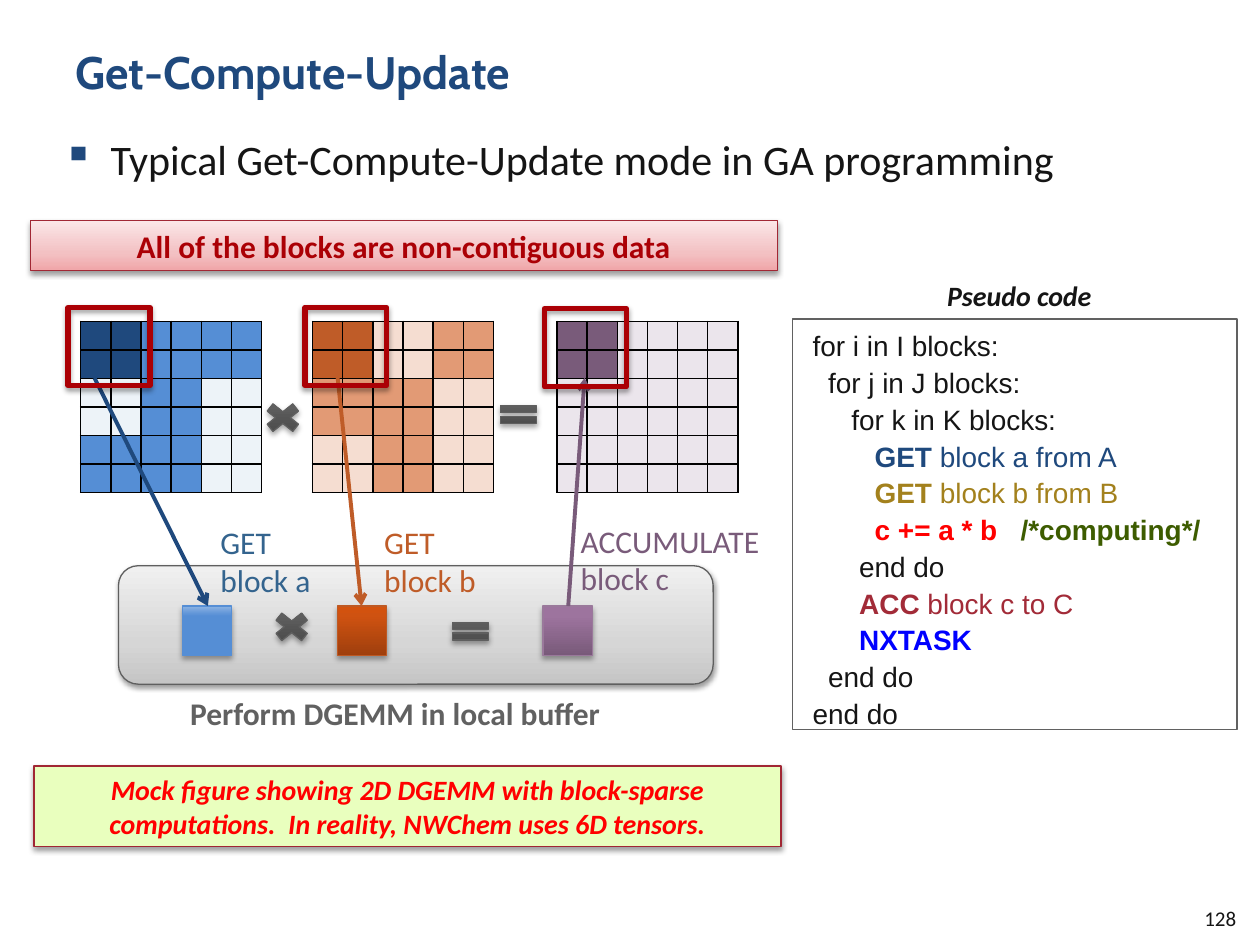
from lxml import etree
from pptx import Presentation
from pptx.dml.color import RGBColor
from pptx.enum.shapes import MSO_CONNECTOR, MSO_SHAPE as Shape
from pptx.enum.text import MSO_ANCHOR as Anchor, PP_ALIGN as Align
from pptx.oxml import parse_xml
from pptx.oxml.ns import nsdecls, qn
from pptx.util import Inches, Pt

NAVY = RGBColor(0x1F, 0x49, 0x7D)
BLUE = RGBColor(0x55, 0x8E, 0xD5)
PALE_BLUE = RGBColor(0xED, 0xF3, 0xF8)
STEEL = RGBColor(0x34, 0x64, 0x8E)
RUST = RGBColor(0xBF, 0x5C, 0x28)
ORANGE = RGBColor(0xE2, 0x9A, 0x75)
PALE_ORANGE = RGBColor(0xF5, 0xDD, 0xD1)
RUST_EDGE = RGBColor(0xBE, 0x59, 0x23)
PURPLE = RGBColor(0x79, 0x5B, 0x7A)
PALE_PURPLE = RGBColor(0xEB, 0xE5, 0xEC)
PURPLE_EDGE = RGBColor(0x9A, 0x79, 0x9B)
INK = RGBColor(0x15, 0x15, 0x15)
GREY = RGBColor(0x61, 0x61, 0x61)
GREY_EDGE = RGBColor(0x5F, 0x5F, 0x5F)
CRIMSON = RGBColor(0xAB, 0x00, 0x05)
RED_EDGE = RGBColor(0xA1, 0x27, 0x34)
RED = RGBColor(0xFF, 0x00, 0x00)
BRICK = RGBColor(0xA2, 0x2B, 0x38)
GOLD = RGBColor(0xA3, 0x81, 0x1D)
GREEN = RGBColor(0x3D, 0x5C, 0x00)
PURE_BLUE = RGBColor(0x00, 0x00, 0xFF)
LIME = RGBColor(0xE9, 0xFF, 0xBE)
WHITE = RGBColor(0xFF, 0xFF, 0xFF)
BLACK = RGBColor(0x00, 0x00, 0x00)

# Gradients run from bottom to top: (position in percent, colour)
PINK_FADE = [(0, "F0A5A8"), (35, "F3C1C3"), (100, "FBE6E7")]
SILVER_FADE = [(0, "C5C5C5"), (35, "D6D6D6"), (100, "F0F0F0")]
SIGN_FADE = [(0, "484848"), (80, "5E5E5E"), (100, "5E5E5E")]
BLUE_FADE = [(0, "558ED5"), (80, "558ED5"), (100, "8EB4E3")]
RUST_FADE = [(0, "9F3F0D"), (80, "CF5211"), (100, "D4520D")]
PURPLE_FADE = [(0, "795A7A"), (80, "9D749E"), (100, "9E749F")]

# Each letter is a 2 x 2 group of cells: D dark, M medium, L light
MATRICES = [
    (0.64, ("DMM", "LML", "MML"), {"D": NAVY, "M": BLUE, "L": PALE_BLUE}),
    (2.48, ("DLM", "MML", "LML"), {"D": RUST, "M": ORANGE, "L": PALE_ORANGE}),
    (4.42, ("DLL", "LLL", "LLL"), {"D": PURPLE, "L": PALE_PURPLE}),
]
CELLS = 6

# Lines of (text, colour, bold) pieces
PSEUDO_CODE = [
    [("for i in I blocks:", INK, False)],
    [("  for j in J blocks:", INK, False)],
    [("     for k in K blocks:", INK, False)],
    [("        ", INK, False), ("GET", NAVY, True), (" block a from A", NAVY, False)],
    [("        ", GOLD, False), ("GET", GOLD, True), (" block b from B", GOLD, False)],
    [("        ", INK, False), ("c += a * b   ", RED, True), ("/*computing*/", GREEN, True)],
    [("      end do", INK, False)],
    [("      ", INK, False), ("ACC", BRICK, True), (" block c to C", BRICK, False)],
    [("      ", INK, False), ("NXTASK", PURE_BLUE, True)],
    [("  end do", INK, False)],
    [("end do", INK, False)],
]


def inches(*lengths):
    return [Inches(length) for length in lengths]


def add_span(para, text, size, color, bold=False, italic=False, font="Calibri"):
    span = para.add_run()
    span.text = text
    span.font.name, span.font.size = font, Pt(size)
    span.font.bold, span.font.italic = bold, italic
    span.font.color.rgb = color


def write(frame, lines, size, color, align=Align.LEFT, anchor=Anchor.TOP, wrap=True, **style):
    """Fill a text frame with one paragraph per line."""
    frame.word_wrap, frame.vertical_anchor = wrap, anchor
    for i, line in enumerate(lines):
        para = frame.paragraphs[0] if i == 0 else frame.add_paragraph()
        para.alignment = align
        add_span(para, line, size, color, **style)


def add_label(page, at, lines, size, color, **style):
    box = page.shapes.add_textbox(*inches(*at))
    write(box.text_frame, lines, size, color, **style)
    return box


def add_bullet(page, at, text):
    box = page.shapes.add_textbox(*inches(*at))
    box.text_frame.word_wrap = True
    para = box.text_frame.paragraphs[0]
    props = para._p.get_or_add_pPr()
    props.set("marL", str(Inches(0.38)))
    props.set("indent", str(-Inches(0.38)))
    color = etree.SubElement(props, qn("a:buClr"))
    etree.SubElement(color, qn("a:srgbClr"), val=str(NAVY))
    etree.SubElement(props, qn("a:buChar"), char="▪")
    para.line_spacing = 1.2
    add_span(para, text, 24, INK)


def add_block(page, kind, at, fill, edge, width=0.75, shadow=None):
    """Add a shape; fill is a colour, a list of gradient stops or None,
    and shadow is (opacity in percent, distance in points)."""
    block = page.shapes.add_shape(kind, *inches(*at))
    if fill is None:
        block.fill.background()
    elif isinstance(fill, list):
        block.fill.gradient()
        block.fill.gradient_angle = 90
        stops = block.element.spPr.find(".//" + qn("a:gsLst"))
        for stop in list(stops):
            stops.remove(stop)
        for position, color in fill:
            stop = etree.SubElement(stops, qn("a:gs"), pos=str(position * 1000))
            etree.SubElement(stop, qn("a:srgbClr"), val=color)
    else:
        block.fill.solid()
        block.fill.fore_color.rgb = fill
    block.line.color.rgb, block.line.width = edge, Pt(width)
    block.shadow.inherit = False
    if shadow:
        opacity, distance = shadow
        block.element.spPr.find(qn("a:effectLst")).append(parse_xml(
            f'<a:outerShdw {nsdecls("a")} blurRad="{Pt(3.1)}" dist="{Pt(distance)}"'
            f' dir="5400000" rotWithShape="0"><a:srgbClr val="000000">'
            f'<a:alpha val="{opacity * 1000}"/></a:srgbClr></a:outerShdw>'))
    return block


def add_matrix(page, left, pattern, colors):
    grid = page.shapes.add_table(CELLS, CELLS, *inches(left, 2.55, 1.37, 1.36)).table
    for row in range(CELLS):
        for col in range(CELLS):
            cell = grid.cell(row, col)
            cell.margin_top = cell.margin_bottom = 0
            para = cell.text_frame.paragraphs[0]._p
            etree.SubElement(para, qn("a:endParaRPr"), sz="800")
            props = cell._tc.get_or_add_tcPr()
            for side in ("lnL", "lnR", "lnT", "lnB"):
                border = etree.SubElement(props, qn(f"a:{side}"), w=str(Pt(1)))
                paint = etree.SubElement(border, qn("a:solidFill"))
                etree.SubElement(paint, qn("a:srgbClr"), val=str(BLACK))
            cell.fill.solid()
            cell.fill.fore_color.rgb = colors[pattern[row // 2][col // 2]]


def add_arrow(page, start, end, color):
    arrow = page.shapes.add_connector(MSO_CONNECTOR.STRAIGHT, *inches(*start, *end))
    arrow.line.color.rgb, arrow.line.width = color, Pt(2.25)
    etree.SubElement(arrow.line._get_or_add_ln(), qn("a:tailEnd"), type="arrow")
    etree.SubElement(arrow.element.spPr, qn("a:effectLst"))


def add_pseudo_code(page):
    box = add_block(page, Shape.RECTANGLE, (6.29, 2.53, 3.53, 3.26), WHITE, GREY, 1)
    frame = box.text_frame
    frame.word_wrap, frame.vertical_anchor = True, Anchor.TOP
    frame.margin_left = frame.margin_right = Inches(0.16)
    frame.margin_top = frame.margin_bottom = Inches(0.08)
    for i, pieces in enumerate(PSEUDO_CODE):
        para = frame.add_paragraph() if i else frame.paragraphs[0]
        para.alignment = Align.LEFT
        if i:
            para.space_before = Pt(1.8)
        for text, color, bold in pieces:
            add_span(para, text, 16, color, bold, font="Arial")
    add_label(page, (6.44, 2.16, 3.3, 0.37), ["Pseudo code"], 16, INK,
              align=Align.CENTER, bold=True, italic=True)


def add_figure(page):
    soft, deep = (38, 1.6), (35, 1.8)
    for left, pattern, colors in MATRICES:
        add_matrix(page, left, pattern, colors)
    add_block(page, Shape.ROUNDED_RECTANGLE, (0.94, 4.49, 4.72, 0.94),
              SILVER_FADE, GREY_EDGE, shadow=soft)
    for left, fade, edge in ((1.45, BLUE_FADE, BLUE), (2.68, RUST_FADE, RUST_EDGE),
                             (4.31, PURPLE_FADE, PURPLE_EDGE)):
        add_block(page, Shape.RECTANGLE, (left, 4.81, 0.39, 0.39), fade, edge, shadow=deep)
    for kind, left, top, height in (
            (Shape.MATH_MULTIPLY, 2.05, 3.16, 0.31), (Shape.MATH_EQUAL, 3.92, 3.17, 0.24),
            (Shape.MATH_MULTIPLY, 2.12, 4.82, 0.31), (Shape.MATH_EQUAL, 3.54, 4.89, 0.24)):
        add_block(page, kind, (left, top, 0.39, height), SIGN_FADE, GREY_EDGE, shadow=deep)
    add_label(page, (4.51, 4.09, 1.79, 0.71), ["ACCUMULATE", "block c"], 18, PURPLE)
    add_label(page, (2.95, 4.1, 1.18, 0.71), ["GET", "block b"], 18, RUST)
    add_label(page, (1.65, 4.1, 1.02, 0.71), ["GET block a"], 18, STEEL)
    add_arrow(page, (0.75, 3), (1.65, 4.81), NAVY)
    add_arrow(page, (2.68, 3), (2.87, 4.81), RUST)
    add_arrow(page, (4.51, 4.81), (4.64, 3), PURPLE)
    for left, top in ((0.54, 2.44), (2.42, 2.44), (4.32, 2.45)):
        add_block(page, Shape.RECTANGLE, (left, top, 0.65, 0.62), None, CRIMSON, 3, soft)
    add_label(page, (1.41, 5.46, 3.49, 0.4), ["Perform DGEMM in local buffer"], 18, GREY,
              bold=True, wrap=False)


def add_banner(page, at, fill, text, size, color, italic=False):
    banner = add_block(page, Shape.RECTANGLE, at, fill, RED_EDGE, shadow=(38, 1.6))
    write(banner.text_frame, [text], size, color, Align.CENTER, Anchor.MIDDLE,
          bold=True, italic=italic)


def main():
    deck = Presentation()
    deck.slide_width, deck.slide_height = inches(10, 7.5)
    page = deck.slides.add_slide(deck.slide_layouts[6])
    add_label(page, (0.5, 0.3, 9, 0.87), ["Get-Compute-Update"], 26, NAVY,
              bold=True, font="Cabin")
    add_bullet(page, (0.4, 0.93, 9, 0.61), "Typical Get-Compute-Update mode in GA programming")
    add_pseudo_code(page)
    add_figure(page)
    add_banner(page, (0.24, 1.75, 5.93, 0.4), PINK_FADE,
               "All of the blocks are non-contiguous data", 18, CRIMSON)
    add_banner(page, (0.27, 6.08, 5.93, 0.64), LIME,
               "Mock figure showing 2D DGEMM with block-sparse computations.  "
               "In reality, NWChem uses 6D tensors.", 16, RED, italic=True)
    add_label(page, (8.83, 7.15, 1.08, 0.27), ["128"], 12, INK,
              align=Align.RIGHT, anchor=Anchor.MIDDLE)
    deck.save("out.pptx")


if __name__ == "__main__":
    main()
